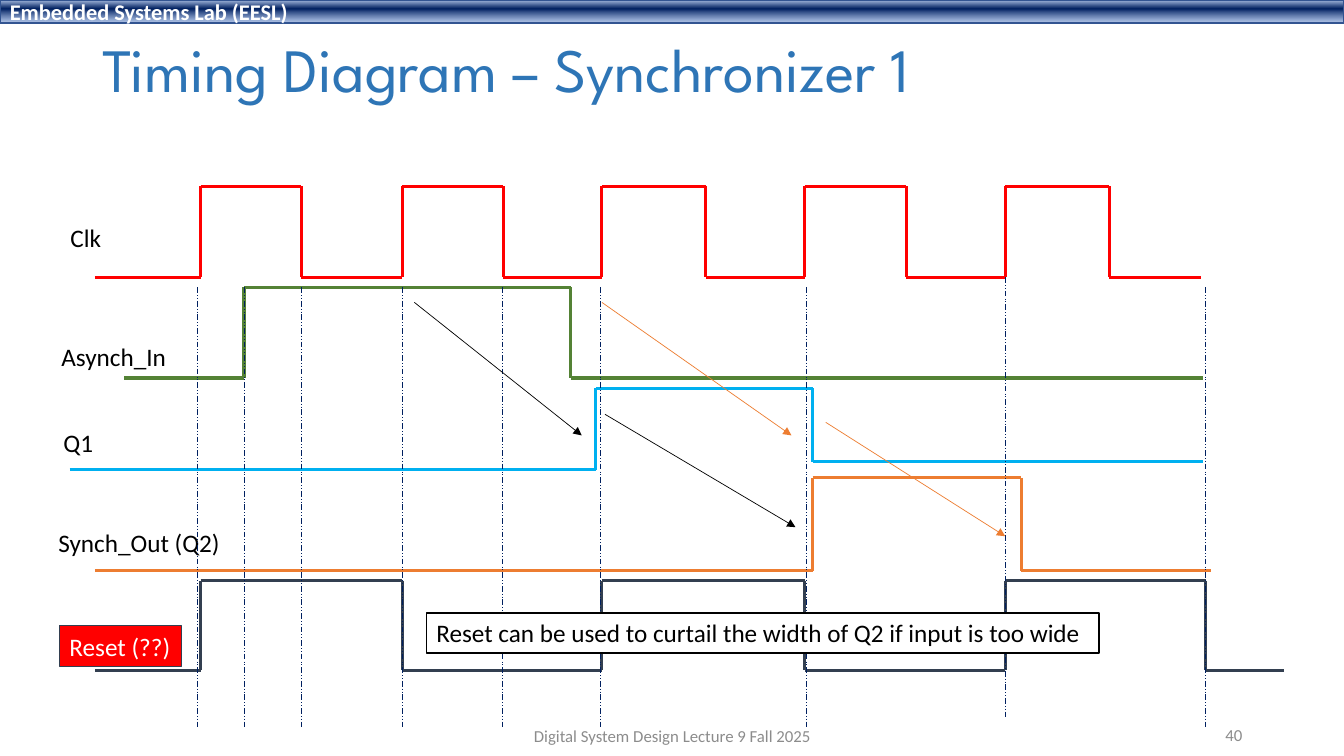
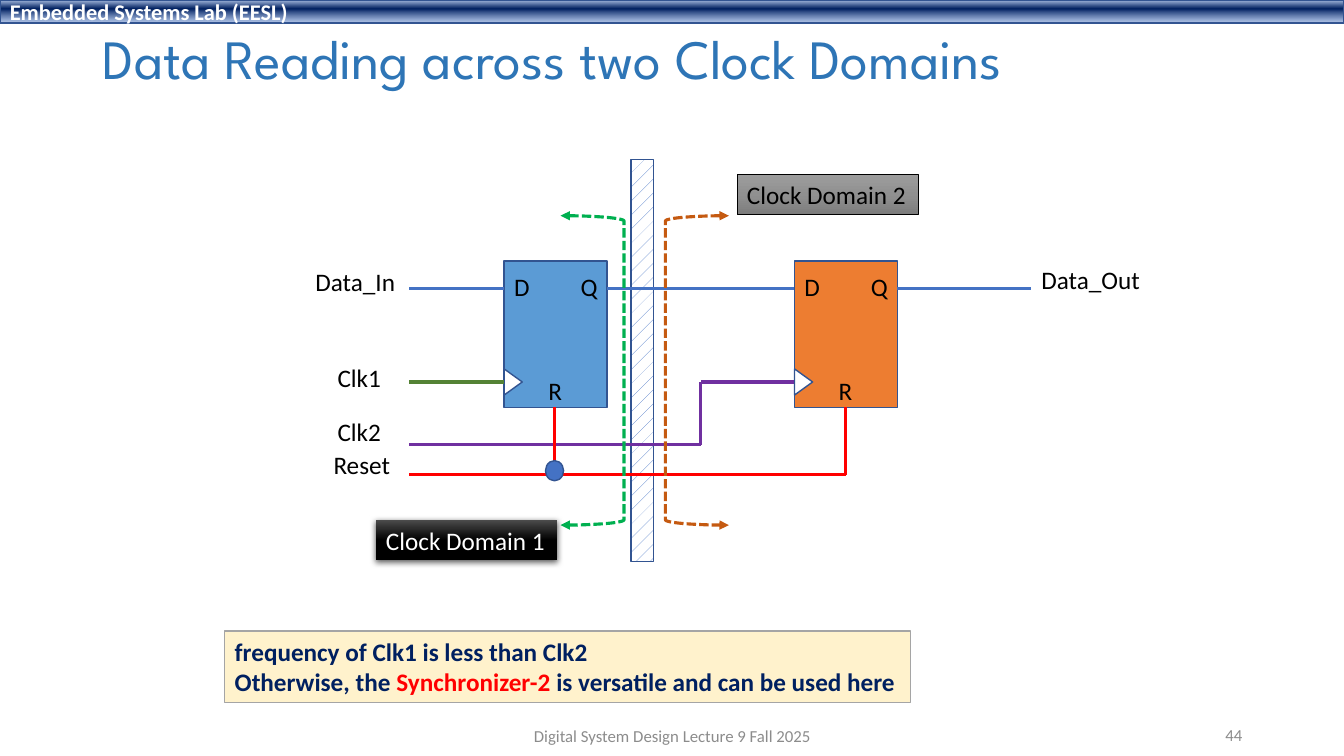
from itertools import cycle, pairwise

from lxml import etree
from pptx import Presentation
from pptx import util as u
from pptx.dml.color import RGBColor
from pptx.enum import dml, shapes, text
from pptx.oxml.ns import qn

BODY_FONT, TITLE_FONT = "Calibri", "League Spartan"
BLACK, WHITE, RED, NAVY = "000000", "FFFFFF", "FF0000", "002060"
BLUE, ORANGE, GREEN, CYAN = "4472C4", "ED7D31", "548235", "00B0F0"
PURPLE, SLATE, OUTLINE, GREY = "7030A0", "333F50", "325491", "8C8C8C"
TITLE_BLUE = "2E75B6"
RECTANGLE = shapes.MSO_SHAPE.RECTANGLE
LEFT, CENTER, RIGHT = text.PP_ALIGN.LEFT, text.PP_ALIGN.CENTER, text.PP_ALIGN.RIGHT
MIDDLE, TOP = text.MSO_ANCHOR.MIDDLE, text.MSO_ANCHOR.TOP

HEADER = "Embedded Systems Lab (EESL)"
FOOTER = "Digital System Design Lecture 9 Fall 2025"
BAND_STOPS = [(2, "ABC0E4", 100), (38, NAVY, 100), (93, "7E9ED6", 64)]
DARK_STOPS = [(0, "4B4B4B", 100), (50, BLACK, 100), (100, BLACK, 100)]
GREY_STOPS = [(0, "9D9D9D", 100), (50, "909090", 100), (100, "7C7C7C", 100)]

WAVES = [
    {"colour": RED, "levels": (2.75, 1.85), "start": 0.94, "end": 11.91,
     "edges": (1.99, 2.99, 3.99, 4.99, 5.97, 7, 7.98, 8.99, 9.97, 11)},
    {"colour": GREEN, "levels": (3.75, 2.85), "start": 1.23, "end": 11.93,
     "edges": (2.42, 5.66)},
    {"colour": ORANGE, "levels": (5.66, 4.74), "start": 0.94, "end": 12.01,
     "edges": (8.06, 10.13)},
    {"colour": SLATE, "levels": (6.65, 5.76), "start": 0.94, "end": 12.73,
     "edges": (1.99, 3.99, 5.97, 7.98, 9.97, 11.96)},
    {"colour": CYAN, "levels": (4.66, 3.85, 4.58), "start": 0.69, "end": 11.93,
     "edges": (5.91, 8.06)},
]
SIGNAL_LABELS = [
    ("Clk", 0.6, 2.16, 0.51),
    ("Asynch_In", 0.51, 3.34, 1.25),
    ("Synch_Out (Q2)", 0.48, 5.18, 1.82),
    ("Q1", 0.53, 4.19, 0.5),
]
GUIDES = [(x, 2.85) for x in (2.42, 1.96, 2.99, 3.99, 4.98, 5.95, 8, 11.95)] + [(9.97, 2.75)]
GUIDE_LENGTH = 4.36
CAUSE_ARROWS = [
    ((4.11, 3), (5.77, 4.32), BLACK),
    ((5.97, 3), (7.85, 4.32), ORANGE),
    ((6, 4.11), (7.89, 5.23), BLACK),
    ((8.19, 4.19), (9.97, 5.32), ORANGE),
]
RESET_LABEL = "Reset (??)"
RESET_NOTE = "Reset can be used to curtail the width of Q2 if input is too wide"

FLIP_FLOPS = [(5, "5B9BD5"), (7.88, ORANGE)]
PINS = [("D", 0, 2.64), ("Q", 0.66, 2.64), ("R", 0.34, 3.67)]
WIRES = [
    (BLUE, [(4.06, 2.86), (5, 2.86)]),
    (BLUE, [(6.02, 2.86), (7.88, 2.86)]),
    (BLUE, [(8.9, 2.86), (10.23, 2.86)]),
    (GREEN, [(4.06, 3.79), (5, 3.79)]),
    (PURPLE, [(7.88, 3.79), (6.95, 3.79), (6.95, 4.41), (4.06, 4.41)]),
    (RED, [(5.5, 4.04), (5.5, 4.71)]),
    (RED, [(8.39, 4.04), (8.39, 4.71), (4.06, 4.71)]),
]
PORT_LABELS = [
    ("Data_In", 3.03, 2.59, 1),
    ("Clk1", 3.25, 3.55, 0.64),
    ("Clk2", 3.25, 4.08, 0.64),
    ("Reset", 3.21, 4.41, 0.77),
    ("Data_Out", 10.23, 2.57, 1.19),
]
BRACKETS = [(5.56, "00B050", False), (6.6, "C55A11", True)]
FREQUENCY_NOTE = [
    [("frequency of Clk1 is less than Clk2", NAVY)],
    [("Otherwise, the ", NAVY), ("Synchronizer-2", RED),
     (" is versatile and can be used here", NAVY)],
]


def rgb(colour):
    return RGBColor.from_string(colour)


def apply_format(target, values):
    for name, value in values.items():
        setattr(target, name, value)


def add_child(parent, tag, **attributes):
    return etree.SubElement(parent, qn(tag), attributes)


def add_colour(parent, colour, opacity):
    element = add_child(parent, "a:srgbClr", val=colour)
    if opacity < 100:
        add_child(element, "a:alpha", val=str(opacity * 1000))


def box(left, top, width, height):
    return [u.Inches(value) for value in (left, top, width, height)]


def write_text(shape, paragraphs, size=18, colour=BLACK, bold=False, font=BODY_FONT,
               align=LEFT, anchor=TOP, wrap=True, spacing=None):
    frame = shape.text_frame
    apply_format(frame, {"word_wrap": wrap, "vertical_anchor": anchor,
                         "auto_size": text.MSO_AUTO_SIZE.NONE})
    if isinstance(paragraphs, str):
        paragraphs = [[(paragraphs, colour)]]
    for index, runs in enumerate(paragraphs):
        paragraph = frame.add_paragraph() if index else frame.paragraphs[0]
        apply_format(paragraph, {"alignment": align, "line_spacing": spacing})
        for content, run_colour in runs:
            run = paragraph.add_run()
            run.text = content
            apply_format(run.font, {"name": font, "size": u.Pt(size), "bold": bold})
            run.font.color.rgb = rgb(run_colour)


def add_label(slide, content, left, top, width, height=0.4, wrap=False, **style):
    label = slide.shapes.add_textbox(*box(left, top, width, height))
    write_text(label, content, wrap=wrap, **style)


def set_line(line, colour, width):
    line.color.rgb = rgb(colour)
    line.width = u.Pt(width)


def add_block(slide, place, fill=None, line=OUTLINE, width=1, kind=RECTANGLE):
    block = slide.shapes.add_shape(kind, *box(*place))
    block.shadow.inherit = False
    if fill is None:
        block.fill.background()
    elif isinstance(fill, str):
        block.fill.solid()
        block.fill.fore_color.rgb = rgb(fill)
    else:
        block.fill.gradient()
        block.fill.gradient_angle = 270
        stops = block.element.spPr.find(".//" + qn("a:gsLst"))
        for stop in list(stops):
            stops.remove(stop)
        for position, colour, opacity in fill:
            add_colour(add_child(stops, "a:gs", pos=str(position * 1000)), colour, opacity)
    if line is None:
        block.line.fill.background()
    else:
        set_line(block.line, line, width)
    return block


def add_line(slide, start, end, colour, width=2.25, dash=None, arrow=False):
    ends = [u.Inches(value) for value in (*start, *end)]
    connector = slide.shapes.add_connector(shapes.MSO_CONNECTOR.STRAIGHT, *ends)
    set_line(connector.line, colour, width)
    if dash is not None:
        connector.line.dash_style = dash
    properties = connector.element.spPr
    if arrow:
        add_child(properties.find(qn("a:ln")), "a:tailEnd", type="triangle")
    add_child(properties, "a:effectLst")


def add_polyline(slide, points, colour):
    for start, end in pairwise(points):
        add_line(slide, start, end, colour)


def wave_points(wave):
    positions = (wave["start"], *wave["edges"], wave["end"])
    points = []
    for (left, right), level in zip(pairwise(positions), cycle(wave["levels"])):
        points += [(left, level), (right, level)]
    return points


def add_slide(presentation, title, number, title_height, title_size):
    slide = presentation.slides.add_slide(presentation.slide_layouts[5])
    band = add_block(slide, (0, 0, 13.33, 0.23), BAND_STOPS)
    write_text(band, HEADER, size=16, colour=WHITE, bold=True, anchor=MIDDLE)
    heading = slide.shapes.title
    names = ("left", "top", "width", "height")
    apply_format(heading, dict(zip(names, box(0.92, 0.15, 11.5, title_height))))
    write_text(heading, title, size=title_size, colour=TITLE_BLUE, font=TITLE_FONT,
               anchor=MIDDLE, spacing=0.9)
    for content, left, top, width, align in ((FOOTER, 4.42, 7.1, 4.5, CENTER),
                                             (number, 9.42, 7.09, 3, RIGHT)):
        add_label(slide, content, left, top, width, wrap=True, size=12, colour=GREY,
                  align=align, anchor=MIDDLE)
    return slide


def build_timing_slide(presentation):
    slide = add_slide(presentation, "Timing Diagram – Synchronizer 1", "40", 1.14, 44)
    for wave in WAVES:
        add_polyline(slide, wave_points(wave), wave["colour"])
    reset = add_block(slide, (0.59, 6.21, 1.21, 0.4), RED, SLATE, 0.75)
    write_text(reset, RESET_LABEL, colour=WHITE, wrap=False)
    for label in SIGNAL_LABELS:
        add_label(slide, *label)
    for x, top in GUIDES:
        add_line(slide, (x, top), (x, top + GUIDE_LENGTH), NAVY, 0.5,
                 dml.MSO_LINE.DASH_DOT_DOT)
    for start, end, colour in CAUSE_ARROWS:
        add_line(slide, start, end, colour, 0.5, arrow=True)
    note = add_block(slide, (4.23, 6.08, 6.67, 0.4), WHITE, BLACK)
    write_text(note, RESET_NOTE)


def add_flip_flop(slide, left, colour):
    add_block(slide, (left, 2.59, 1.02, 1.45), colour)
    clock = add_block(slide, (left - 0.04, 3.7, 0.26, 0.18), WHITE,
                      kind=shapes.MSO_SHAPE.ISOSCELES_TRIANGLE)
    clock.rotation = 90
    for pin, offset, top in PINS:
        add_label(slide, pin, left + offset, top, 0.36)


def add_bracket(slide, left, colour, flipped):
    bracket = add_block(slide, (left, 2.14, 0.63, 3.07), None, colour, 2.25,
                        shapes.MSO_SHAPE.RIGHT_BRACKET)
    bracket.line.dash_style = dml.MSO_LINE.SQUARE_DOT
    properties = bracket.element.spPr
    for tag in ("a:headEnd", "a:tailEnd"):
        add_child(properties.find(qn("a:ln")), tag, type="triangle")
    if flipped:
        properties.find(qn("a:xfrm")).set("flipH", "1")


def build_domains_slide(presentation):
    slide = add_slide(presentation, "Data Reading across two Clock Domains", "44", 0.93, 39.6)
    barrier = add_block(slide, (6.26, 1.58, 0.22, 3.99), WHITE)
    barrier.fill.patterned()
    barrier.fill.pattern = dml.MSO_PATTERN.PERCENT_5
    barrier.fill.fore_color.rgb = rgb(BLUE)
    barrier.fill.back_color.rgb = rgb(WHITE)
    for left, colour in FLIP_FLOPS:
        add_flip_flop(slide, left, colour)
    for colour, points in WIRES:
        add_polyline(slide, points, colour)
    add_block(slide, (5.41, 4.57, 0.18, 0.2), BLUE, kind=shapes.MSO_SHAPE.OVAL)
    for label in PORT_LABELS:
        add_label(slide, *label)
    for left, colour, flipped in BRACKETS:
        add_bracket(slide, left, colour, flipped)
    first = add_block(slide, (3.73, 5.16, 1.8, 0.4), DARK_STOPS, None)
    write_text(first, "Clock Domain 1", colour=WHITE, wrap=False)
    shadow = add_child(first.element.spPr.find(qn("a:effectLst")), "a:outerShdw",
                       blurRad=str(u.Pt(4.5)), dist=str(u.Pt(1.5)), dir="5400000")
    add_colour(shadow, BLACK, 63)
    second = add_block(slide, (7.31, 1.73, 1.8, 0.4), GREY_STOPS, BLACK, 0.5)
    write_text(second, "Clock Domain 2", wrap=False)
    note = add_block(slide, (2.23, 6.26, 6.8, 0.71), "FFF2CC", "A5A5A5")
    write_text(note, FREQUENCY_NOTE, bold=True, wrap=False)


def main():
    presentation = Presentation()
    apply_format(presentation, {"slide_width": u.Inches(13.33), "slide_height": u.Inches(7.5)})
    build_timing_slide(presentation)
    build_domains_slide(presentation)
    presentation.save("out.pptx")


if __name__ == "__main__":
    main()
